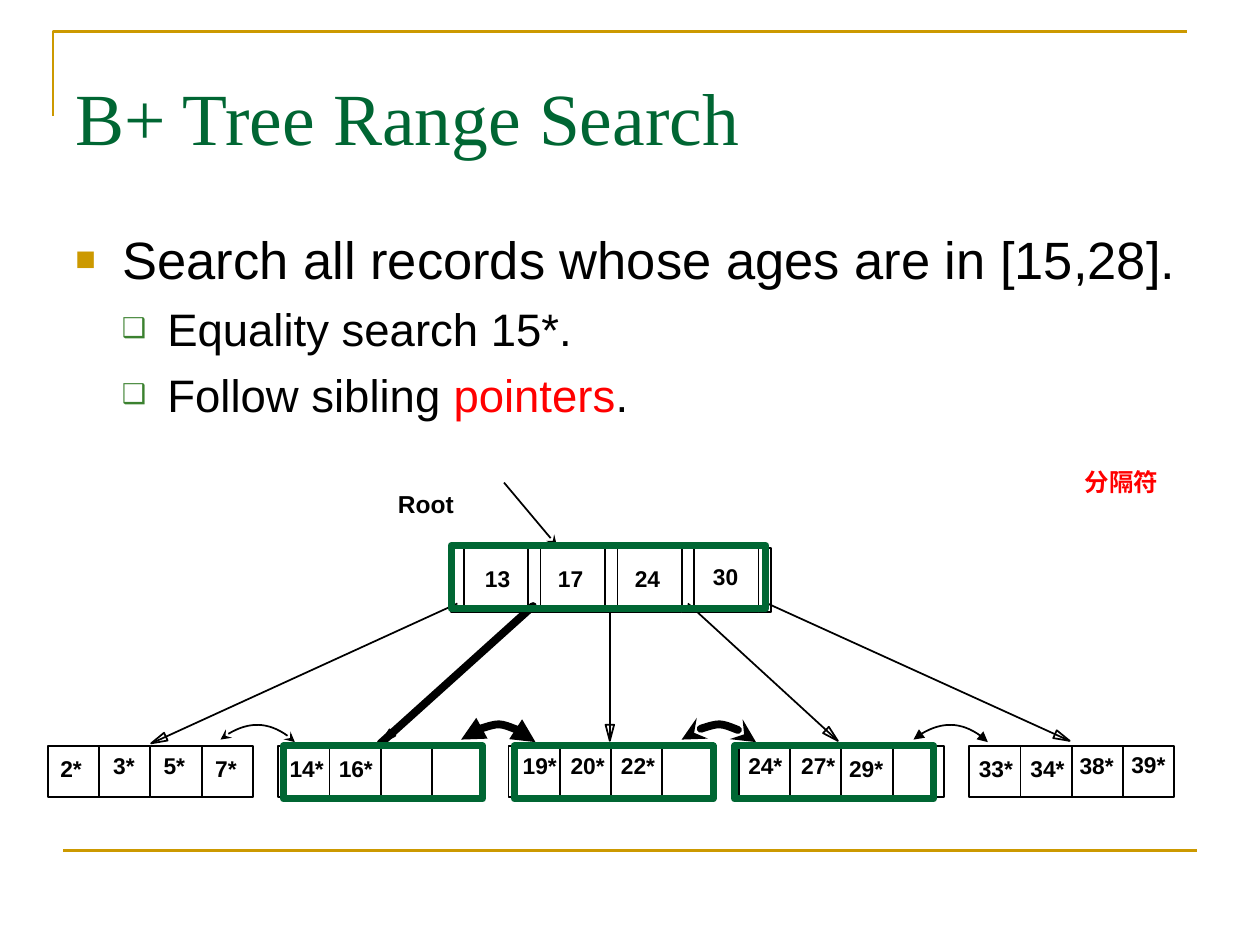
from dataclasses import dataclass
from math import hypot

from lxml import etree
from pptx import Presentation
from pptx.dml.color import RGBColor
from pptx.enum.shapes import MSO_CONNECTOR, MSO_SHAPE
from pptx.enum.text import MSO_ANCHOR, MSO_AUTO_SIZE
from pptx.oxml.ns import qn
from pptx.util import Inches, Pt

RECT = MSO_SHAPE.RECTANGLE
STRAIGHT = MSO_CONNECTOR.STRAIGHT
MIDDLE = MSO_ANCHOR.MIDDLE
FIXED = MSO_AUTO_SIZE.NONE

COLORS = {"gold": "CC9900", "green": "006633", "leaf": "3B812F",
          "black": "000000", "red": "FF0000"}
COLS = 100

prs = Presentation()
prs.slide_width, prs.slide_height = Inches(10), Inches(7.5)
CELL = prs.slide_width / COLS
slide = prs.slides.add_slide(prs.slide_layouts[6])
shapes = slide.shapes

Point = tuple[float, float]


@dataclass(frozen=True)
class Label:
    text: str
    col: float
    row: float
    width: float = 5.1
    size: int = 13
    color: str = "black"


@dataclass(frozen=True)
class Pointer:
    start: Point
    end: Point
    weight: float = 1


@dataclass(frozen=True)
class Sibling:
    col: float
    head: str
    weight: float


@dataclass(frozen=True)
class Bullet:
    runs: tuple[tuple[str, str], ...]
    char: str
    color: str
    scale: int
    margin: float
    indent: float
    size: int
    before: float


def grid(n: float) -> int:
    return round(n * CELL)


def rgb(name: str) -> RGBColor:
    return RGBColor.from_string(COLORS[name])


def outline(sp, color: str, weight: float) -> None:
    sp.line.color.rgb = rgb(color)
    sp.line.width = Pt(weight)


def draw_box(col: float, row: float, width: float, height: float,
             color: str = "black", weight: float = 1) -> None:
    sp = shapes.add_shape(RECT, *map(grid, (col, row, width, height)))
    sp.shadow.inherit = False
    sp.fill.background()
    outline(sp, color, weight)


def draw_line(start: Point, end: Point, color: str = "black", weight: float = 1):
    sp = shapes.add_connector(STRAIGHT, *map(grid, start + end))
    outline(sp, color, weight)
    etree.SubElement(sp._element.spPr, qn("a:effectLst"))
    return sp


def draw_outline(points: list[Point], closed: bool, color: str = "black", weight: float = 1):
    first, *rest = [(grid(x), grid(y)) for x, y in points]
    builder = shapes.build_freeform(*first)
    builder.add_line_segments(rest, close=closed)
    sp = builder.convert_to_shape()
    sp.shadow.inherit = False
    sp.fill.background()
    outline(sp, color, weight)
    return sp


def add_ends(sp, **ends: str) -> None:
    ln = sp.line._get_or_add_ln()
    for tag, kind in ends.items():
        etree.SubElement(ln, qn(f"a:{tag}"), type=kind)


def draw_pointer(ptr: Pointer) -> None:
    sp = draw_line(ptr.start, ptr.end, weight=ptr.weight)
    if ptr.weight > 1:
        sp.line._get_or_add_ln().set("cap", "rnd")
    (x0, y0), (x1, y1) = ptr.start, ptr.end
    length = hypot(x1 - x0, y1 - y0)
    ux, uy = (x1 - x0) / length, (y1 - y0) / length
    bx, by = x1 - 1.28 * ux, y1 - 1.28 * uy
    half = 0.34
    draw_outline([(bx - half * uy, by + half * ux), ptr.end,
                  (bx + half * uy, by - half * ux)], True)


def draw_sibling(sib: Sibling) -> None:
    c = sib.col
    sp = draw_outline([(c, 58.7), (c + 1.7, 57.2), (c + 4.4, 57.3), (c + 5.9, 58.9)],
                      False, weight=sib.weight)
    steps = list(sp._element.iter(qn("a:lnTo")))
    curve = etree.Element(qn("a:cubicBezTo"))
    steps[0].addprevious(curve)
    for step in steps:
        curve.append(step[0])
        step.getparent().remove(step)
    if sib.weight > 1:
        sp.line._get_or_add_ln().set("cap", "rnd")
    add_ends(sp, headEnd=sib.head, tailEnd=sib.head)


def add_run(p, text: str, size: float, color: str, font: str = "Arial", bold: bool = False) -> None:
    r = p.add_run()
    r.text = text
    r.font.size, r.font.name, r.font.bold = Pt(size), font, bold
    r.font.color.rgb = rgb(color)


def draw_label(label: Label) -> None:
    height = 3.1 if label.size == 13 else 3.4
    sp = shapes.add_textbox(*map(grid, (label.col, label.row, label.width, height)))
    tf = sp.text_frame
    tf.word_wrap, tf.auto_size = True, FIXED
    add_run(tf.paragraphs[0], label.text, label.size, label.color, bold=True)


def write_bullet(p, item: Bullet) -> None:
    pPr = p._p.get_or_add_pPr()
    pPr.set("marL", str(grid(item.margin)))
    pPr.set("indent", str(-grid(item.indent)))
    clr = etree.SubElement(pPr, qn("a:buClr"))
    etree.SubElement(clr, qn("a:srgbClr"), val=COLORS[item.color])
    etree.SubElement(pPr, qn("a:buSzPct"), val=str(item.scale * 1000))
    etree.SubElement(pPr, qn("a:buFont"), typeface="Arial")
    etree.SubElement(pPr, qn("a:buChar"), char=item.char)
    p.space_before = Pt(item.before)
    for text, color in item.runs:
        add_run(p, text, item.size, color)


def sub_bullet(*runs: tuple[str, str]) -> Bullet:
    return Bullet(runs, "❑", "leaf", 60, 7.3, 3.6, 26, 6.5)


BULLETS = [
    Bullet((("Search all records whose ages are in [15,28].", "black"),),
           "■", "gold", 65, 3.75, 3.75, 30, 0),
    sub_bullet(("Equality search 15*.", "black")),
    sub_bullet(("Follow sibling ", "black"), ("pointers", "red"), (".", "black")),
]
ROOT_COL, ROOT_ROW, ROOT_STEP, ROOT_H, SLOT = 35.8, 43.5, 6.1, 5.1, 1
LEAF_COL, LEAF_ROW, LEAF_STEP, KEY = 3.8, 59.2, 18.28, 4.07
POINTERS = [
    Pointer((36.3, 47.9), (12, 59)),
    Pointer((42.3, 48.1), (30.2, 59), 4.5),
    Pointer((48.4, 48.1), (48.4, 58.8)),
    Pointer((54.6, 47.9), (66.5, 58.8)),
    Pointer((60.7, 47.8), (84.9, 58.8)),
]
LABELS = [
    Label("Root", 30.6, 38.3, 7.5, 14),
    *(Label(t, c, r) for t, c, r in [
        ("13", 37.5, 44.3), ("17", 43.3, 44.3), ("24", 49.4, 44.3), ("30", 55.6, 44.2),
        ("2*", 3.8, 59.4), ("3*", 8, 59.2), ("5*", 12, 59.2), ("7*", 16.1, 59.4),
        ("14*", 22, 59.4), ("16*", 25.9, 59.4),
        ("19*", 40.5, 59.2), ("20*", 44.3, 59.2), ("22*", 48.3, 59.2),
        ("24*", 58.4, 59.2), ("27*", 62.6, 59.2), ("29*", 66.4, 59.4),
        ("33*", 76.7, 59.4), ("34*", 80.8, 59.4), ("38*", 84.7, 59.2), ("39*", 88.8, 59.1)]),
]
SIBLINGS = [Sibling(36.6, "triangle", 4.5), Sibling(17.5, "stealth", 1),
            Sibling(54.1, "stealth", 4.5), Sibling(72.5, "triangle", 1)]

draw_outline([(4.2, 9.2), (4.2, 2.5), (94.2, 2.5)], False, "gold", 1.5)
draw_line((5, 67.5), (95, 67.5), "gold", 1.5)

tf = shapes.add_textbox(*map(grid, (5, 3, 90, 12.5))).text_frame
tf.word_wrap, tf.vertical_anchor = True, MIDDLE
add_run(tf.paragraphs[0], "B+ Tree Range Search", 42, "green", "Times New Roman")

tf = shapes.add_textbox(*map(grid, (5, 17.5, 90, 49.5))).text_frame
tf.word_wrap = True
for i, item in enumerate(BULLETS):
    write_bullet(tf.add_paragraph() if i else tf.paragraphs[0], item)

for i in range(4):
    col = ROOT_COL + i * ROOT_STEP
    draw_box(col, ROOT_ROW, ROOT_STEP, ROOT_H)
    draw_line((col + SLOT, ROOT_ROW), (col + SLOT, ROOT_ROW + ROOT_H))
draw_box(ROOT_COL + 4 * ROOT_STEP, ROOT_ROW, SLOT, ROOT_H)
for leaf in range(5):
    for key in range(4):
        draw_box(LEAF_COL + leaf * LEAF_STEP + key * KEY, LEAF_ROW, KEY, KEY)

for ptr in POINTERS:
    draw_pointer(ptr)
for label in LABELS:
    draw_label(label)
add_ends(draw_line((40, 38.3), (44.2, 43.3)), tailEnd="stealth")
for sib in SIBLINGS:
    draw_sibling(sib)

draw_box(ROOT_COL, 43.3, 25, 5, "green", 4)
for col in (22.5, 40.8, 58.3):
    draw_box(col, LEAF_ROW, 15.8, 4.2, "green", 4)
draw_label(Label("分隔符", 85.1, 36.6, 9, 14, "red"))

prs.save("out.pptx")
